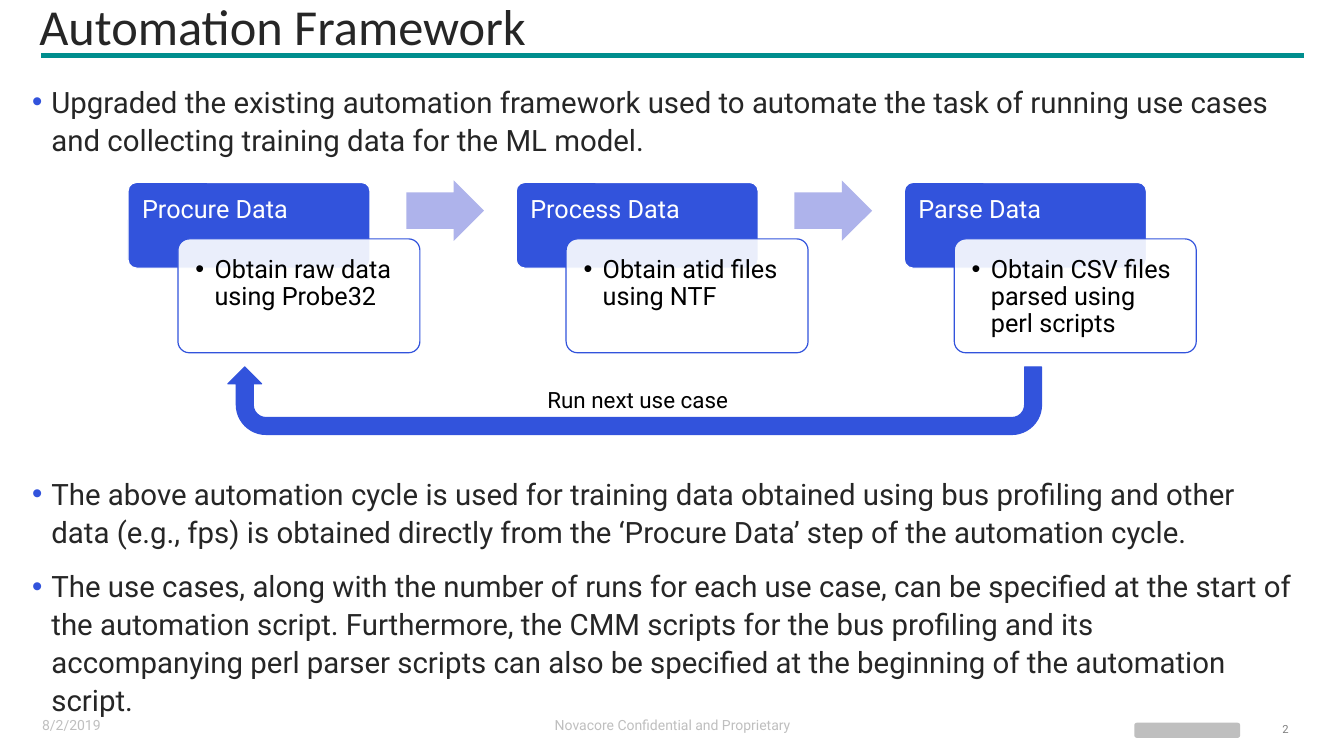
import pptx
import pptx.util
import pptx.dml.color
import pptx.enum.shapes
import pptx.enum.text
import pptx.oxml.ns
import lxml.etree

KIND = pptx.enum.shapes.MSO_SHAPE
ALIGN = pptx.enum.text.PP_ALIGN
ANCHOR = pptx.enum.text.MSO_ANCHOR
Pt = pptx.util.Pt
qn = pptx.oxml.ns.qn
BLUE, PALE, WHITE, BLACK = "3253DC", "AEB3EB", "FFFFFF", "000000"
DARK, GREY, MID, TEAL = "262626", "BFBFBF", "808080", "008E8E"

deck = pptx.Presentation()
deck.slide_width = pptx.util.Inches(13.33)
deck.slide_height = pptx.util.Inches(7.5)
slide = deck.slides.add_slide(deck.slide_layouts[6])
col = deck.slide_width / 133.3
row = deck.slide_height / 75


def tint(part, code):
    part.rgb = pptx.dml.color.RGBColor.from_string(code)


def place(spot, kind=None, fill=None, edge=None, lines=(), size=18, ink=DARK,
          face="Roboto", dot=None, pad=(0, 0, 0, 0), anchor=ANCHOR.TOP, bends=(), **form):
    x, y, w, h = spot
    area = [round(n) for n in (x * col, y * row, w * col, h * row)]
    if kind is None:
        item = slide.shapes.add_textbox(*area)
    else:
        item = slide.shapes.add_shape(kind, *area)
        item.shadow.inherit = False
        item.fill.solid()
        tint(item.fill.fore_color, fill)
        if edge:
            tint(item.line.color, edge)
            item.line.width = Pt(0.85)
        else:
            item.line.fill.background()
        for i, bend in enumerate(bends):
            item.adjustments[i] = bend
    frame = item.text_frame
    looks = {"word_wrap": True, "vertical_anchor": anchor}
    for side, gap in zip(("left", "top", "right", "bottom"), pad):
        looks["margin_" + side] = round(gap * col)
    for key, value in looks.items():
        setattr(frame, key, value)
    for i, line in enumerate(lines):
        para = frame.add_paragraph() if i else frame.paragraphs[0]
        for key, value in {"alignment": ALIGN.LEFT, **form}.items():
            setattr(para, key, value)
        run = para.add_run()
        run.text = line
        for key, value in {"name": face, "size": Pt(size)}.items():
            setattr(run.font, key, value)
        tint(run.font.color, ink)
        if dot:
            props = para._p.get_or_add_pPr()
            props.set("marL", str(round(1.9 * col)))
            props.set("indent", str(round(-1.9 * col)))
            shade = lxml.etree.SubElement(props, qn("a:buClr"))
            lxml.etree.SubElement(shade, qn("a:srgbClr")).set("val", dot)
            lxml.etree.SubElement(props, qn("a:buFont")).set("typeface", "Arial")
            lxml.etree.SubElement(props, qn("a:buChar")).set("char", "•")
    return item


rule = slide.shapes.add_connector(
    pptx.enum.shapes.MSO_CONNECTOR.STRAIGHT,
    *[round(n) for n in (4.1 * col, 5.5 * row, 129.3 * col, 5.5 * row)])
tint(rule.line.color, TEAL)
rule.line.width = Pt(3.75)
lxml.etree.SubElement(rule._element.spPr, qn("a:effectLst"))

place((3.2, 0.1, 125, 5.8), lines=["Automation Framework"], size=36, face="Calibri",
      pad=(0.7, 0.4, 0.7, 0.4), anchor=ANCHOR.MIDDLE, line_spacing=0.82)

body = {"size": 21, "dot": BLUE, "line_spacing": 1.07, "space_before": Pt(12)}
place((3.2, 8.1, 125, 8), lines=[
    "Upgraded the existing automation framework used to automate the task of running "
    "use cases and collecting training data for the ML model."], **body)
place((3.2, 47, 125, 24), lines=[
    "The above automation cycle is used for training data obtained using bus profiling "
    "and other data (e.g., fps) is obtained directly from the ‘Procure Data’ step of the "
    "automation cycle.",
    "The use cases, along with the number of runs for each use case, can be specified at "
    "the start of the automation script. Furthermore, the CMM scripts for the bus "
    "profiling and its accompanying perl parser scripts can also be specified at the "
    "beginning of the automation script."], **body)

steps = [("Procure Data", "Obtain raw data using Probe32"),
         ("Process Data", "Obtain atid files using NTF"),
         ("Parse Data", "Obtain CSV files parsed using perl scripts")]
for i, (head, note) in enumerate(steps):
    left = 12.7 + 38.5 * i
    place((left, 18.1, 24, 8.5), KIND.ROUNDED_RECTANGLE, BLUE, WHITE, [head], ink=WHITE,
          pad=(1.15, 1.15, 1.15, 0.7), bends=[0.1], line_spacing=0.9)
    card = place((left + 4.95, 23.7, 24, 11.3), KIND.ROUNDED_RECTANGLE, WHITE, BLUE, [note],
                 ink=BLACK, dot=BLACK, pad=(1.4, 1.4, 1.4, 1.4), bends=[0.1],
                 line_spacing=0.9)
    shade = card._element.spPr.find(qn("a:solidFill"))[0]
    lxml.etree.SubElement(shade, qn("a:alpha")).set("val", "90000")
    if i < len(steps) - 1:
        place((left + 27.6, 17.9, 7.7, 6), KIND.RIGHT_ARROW, PALE, bends=[0.6, 0.5])

loop = place((22.6, 36.4, 80.7, 6.7), KIND.U_TURN_ARROW, BLUE, BLUE,
             bends=[0.25, 0.25, 0.25, 0.44, 1])
loop.rotation = 180
place((52.8, 37.5, 27.7, 8.8), lines=["Run next use case"], size=16, ink=BLACK,
      pad=(1.5, 1, 0, 1), line_spacing=0.95, space_before=Pt(12))

foot = {"size": 10, "ink": GREY, "pad": (1, 0.5, 1, 0.5), "line_spacing": 0.9}
place((3.2, 70.8, 28.4, 2.5), lines=["8/2/2019"], **foot)
place((47, 70.8, 39.4, 2.5), lines=["Novacore Confidential and Proprietary"],
      alignment=ALIGN.CENTER, **foot)
place((112.5, 71.7, 10.5, 1.5), KIND.ROUNDED_RECTANGLE, GREY)
place((120, 71.4, 7.8, 1.5), lines=["2"], size=8, ink=MID, anchor=ANCHOR.MIDDLE,
      alignment=ALIGN.RIGHT, line_spacing=1.25)

deck.save("out.pptx")
